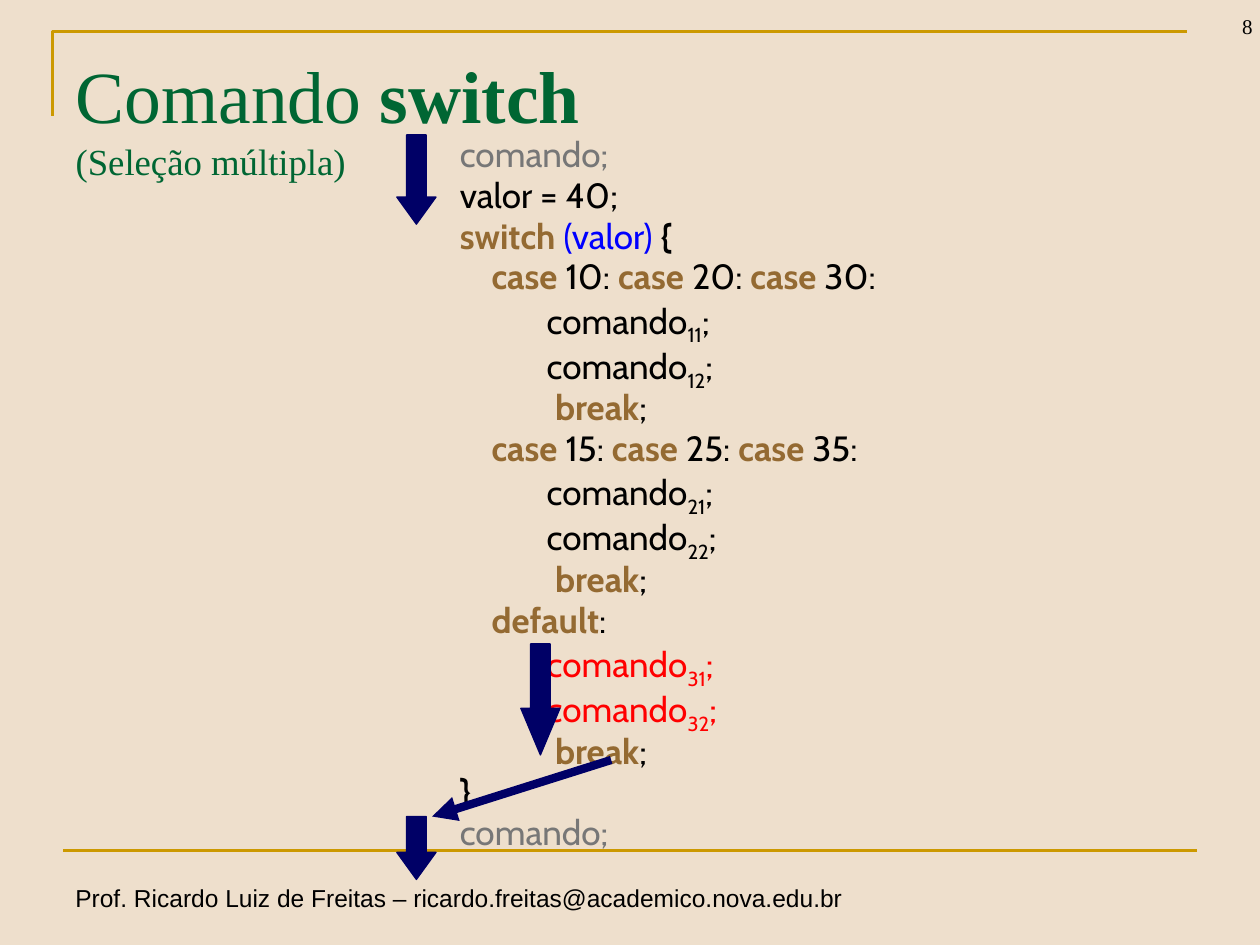
from lxml.etree import SubElement
from pptx import Presentation
from pptx.dml.color import RGBColor
from pptx.enum.shapes import MSO_CONNECTOR, MSO_SHAPE
from pptx.enum.text import MSO_ANCHOR, MSO_AUTO_SIZE, PP_ALIGN
from pptx.oxml.ns import qn
from pptx.util import Cm, Pt

COLORS = {
    "background": "EEDFCC",
    "rule": "CC9900",
    "title": "006633",
    "text": "000000",
    "outside": "777777",
    "keyword": "946A32",
    "value": "0000FF",
    "active": "FF0000",
    "arrow": "000066",
}
CASE_INDENT, COMMAND_INDENT, BREAK_INDENT = 0.64, 1.75, 1.92


def color(name):
    return RGBColor.from_string(COLORS[name])


class SlideBuilder:
    serif = "Times New Roman"
    sans = "Arial"
    code = "Cabin"

    def __init__(self, presentation):
        self.slide = presentation.slides.add_slide(presentation.slide_layouts[5])
        fill = self.slide.background.fill
        fill.solid()
        fill.fore_color.rgb = color("background")

    def run(self, paragraph, text, font, size, color_name, bold=False, subscript=False):
        run = paragraph.add_run()
        run.text = text
        run.font.name = font
        run.font.size = Pt(size)
        run.font.bold = bold
        run.font.color.rgb = color(color_name)
        if subscript:
            run.font._element.set("baseline", "-25000")

    def title(self, left, top, width, height, name, subtitle):
        shape = self.slide.shapes.title
        shape.left, shape.top, shape.width, shape.height = map(Cm, (left, top, width, height))
        frame = shape.text_frame
        frame.auto_size = MSO_AUTO_SIZE.NONE
        frame.vertical_anchor = MSO_ANCHOR.MIDDLE
        paragraph = frame.paragraphs[0]
        paragraph.alignment = PP_ALIGN.LEFT
        self.run(paragraph, "Comando ", self.serif, 42, "title")
        self.run(paragraph, name, self.serif, 42, "title", bold=True)
        paragraph.add_line_break()
        self.run(paragraph, subtitle, self.serif, 21, "title")

    def text_box(self, left, top, width, height, wrap=True):
        shape = self.slide.shapes.add_textbox(*map(Cm, (left, top, width, height)))
        shape.text_frame.word_wrap = wrap
        return shape.text_frame

    def label(self, left, top, width, height, text, font, size,
              alignment=PP_ALIGN.LEFT, anchor=MSO_ANCHOR.TOP, wrap=True):
        frame = self.text_box(left, top, width, height, wrap)
        frame.vertical_anchor = anchor
        paragraph = frame.paragraphs[0]
        paragraph.alignment = alignment
        self.run(paragraph, text, font, size, "text")

    def listing(self, left, top, width, height, lines):
        frame = self.text_box(left, top, width, height)
        for index, (indent, pieces) in enumerate(lines):
            paragraph = frame.add_paragraph() if index else frame.paragraphs[0]
            paragraph.line_spacing = 0.8
            paragraph.space_before = Pt(4)
            paragraph._p.get_or_add_pPr().set("marL", str(Cm(indent)))
            for text, color_name, *options in pieces:
                self.run(paragraph, text, self.code, 20, color_name,
                         bold="bold" in options, subscript="subscript" in options)

    def corner(self, left, top, right, bottom):
        builder = self.slide.shapes.build_freeform(Cm(left), Cm(bottom))
        builder.add_line_segments([(Cm(left), Cm(top)), (Cm(right), Cm(top))], close=False)
        shape = builder.convert_to_shape()
        shape.shadow.inherit = False
        shape.fill.background()
        shape.line.color.rgb = color("rule")
        shape.line.width = Pt(1.5)

    def line(self, start, end, color_name, width, arrowhead=False):
        connector = self.slide.shapes.add_connector(
            MSO_CONNECTOR.STRAIGHT, *map(Cm, (*start, *end)))
        connector.line.color.rgb = color(color_name)
        connector.line.width = Pt(width)
        if arrowhead:
            SubElement(connector.line._get_or_add_ln(), qn("a:tailEnd"), type="triangle")
        SubElement(connector._element.spPr, qn("a:effectLst"))

    def down_arrow(self, left, top, height, head):
        shape = self.slide.shapes.add_shape(
            MSO_SHAPE.DOWN_ARROW, *map(Cm, (left, top, 0.79, height)))
        shape.adjustments[0] = 0.5
        shape.adjustments[1] = head
        shape.shadow.inherit = False
        shape.fill.solid()
        shape.fill.fore_color.rgb = color("arrow")
        shape.line.color.rgb = color("arrow")
        shape.line.width = Pt(0.75)


def case_line(values):
    pieces = []
    for index, value in enumerate(values):
        ending = ":" if index == len(values) - 1 else ": "
        pieces += [("case", "keyword", "bold"), (f" {value}{ending}", "text")]
    return CASE_INDENT, pieces


def block_lines(number, color_name="text"):
    commands = [
        (COMMAND_INDENT, [("comando", color_name),
                          (f"{number}{step}", color_name, "subscript"),
                          (";", color_name)])
        for step in (1, 2)
    ]
    return commands + [(BREAK_INDENT, [("break", "keyword", "bold"), (";", "text")])]


def switch_lines():
    outside = (0, [("comando;", "outside")])
    return [
        outside,
        (0, [("valor = 40;", "text")]),
        (0, [("switch ", "keyword", "bold"), ("(valor) ", "value"), ("{", "text", "bold")]),
        case_line((10, 20, 30)),
        *block_lines(1),
        case_line((15, 25, 35)),
        *block_lines(2),
        (CASE_INDENT, [("default", "keyword", "bold"), (":", "text")]),
        *block_lines(3, "active"),
        (0, [("}", "text", "bold")]),
        outside,
    ]


def main():
    presentation = Presentation()
    presentation.slide_width, presentation.slide_height = Cm(25.4), Cm(19.05)
    builder = SlideBuilder(presentation)

    builder.corner(1.06, 0.63, 23.92, 2.33)
    builder.label(1.27, 17.68, 16.2, 0.86,
                  "Prof. Ricardo Luiz de Freitas – ricardo.freitas@academico.nova.edu.br",
                  builder.sans, 14, wrap=False)
    builder.line((1.27, 17.14), (24.13, 17.14), "rule", 1.5)
    builder.label(23.6, -0.36, 1.9, 1.27, "8", builder.serif, 12,
                  PP_ALIGN.RIGHT, MSO_ANCHOR.BOTTOM)
    builder.title(1.27, 0.76, 22.86, 3.18, "switch", "(Seleção múltipla)")
    builder.listing(9.02, 2.72, 15.29, 14.63, switch_lines())

    for left, top, height, head in (
        (8, 16.46, 1.27, 0.69),
        (10.5, 12.98, 2.24, 1.19),
        (8, 2.72, 1.8, 0.69),
    ):
        builder.down_arrow(left, top, height, head)
    builder.line((12.32, 15.32), (8.71, 16.46), "arrow", 4.75, arrowhead=True)

    presentation.save("out.pptx")


if __name__ == "__main__":
    main()
